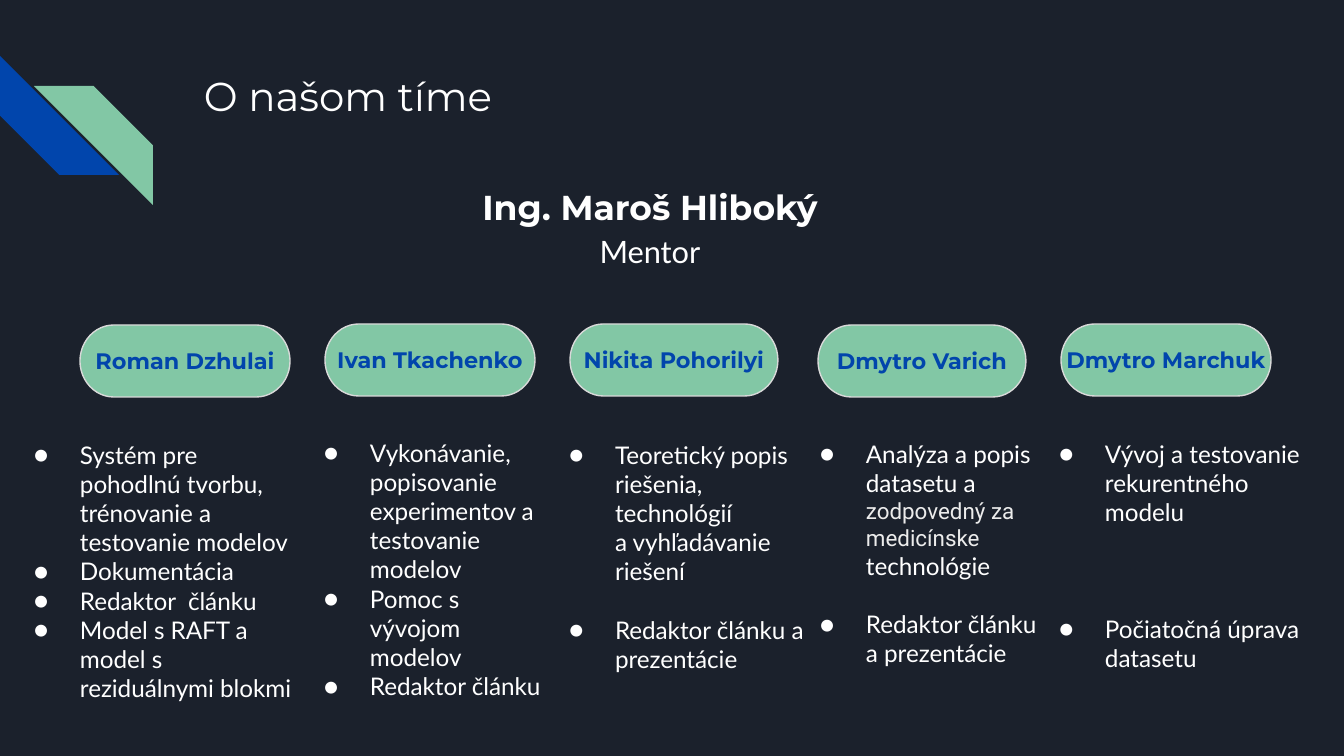
from dataclasses import dataclass
from typing import NamedTuple

from lxml.etree import SubElement
from pptx import Presentation
from pptx.dml.color import RGBColor
from pptx.enum.shapes import MSO_SHAPE
from pptx.enum.text import MSO_ANCHOR, PP_ALIGN
from pptx.oxml.ns import qn
from pptx.util import Emu, Pt

EMU_PER_PX = 914400 / 134.4
NAVY = RGBColor(0x1B, 0x21, 0x2C)
BLUE = RGBColor(0x01, 0x45, 0xAC)
GREEN = RGBColor(0x82, 0xC7, 0xA5)
GREY = RGBColor(0xD9, 0xD9, 0xD9)
PALE = RGBColor(0xEC, 0xEC, 0xEC)
WHITE = RGBColor(0xFF, 0xFF, 0xFF)
HEADING, BODY, ACCENT = "Montserrat", "Lato", "Roboto"
PAD, PILL_H, TASKS_H = 13, 72, 328
TEXT_INDENT, HANG = 67, 46


class Box(NamedTuple):
    x: int
    y: int
    w: int
    h: int


class Piece(NamedTuple):
    text: str
    font: str = BODY
    size: float = 13
    color: RGBColor = WHITE


@dataclass
class Task:
    pieces: list[Piece]
    bullet: bool = True
    gap: float = 0  # points above


@dataclass
class Member:
    name: str
    pill: Box
    tasks_at: Box
    tasks: list[Task]


def task(text: str, **options) -> Task:
    return Task([Piece(text)], **options)


MEMBERS = [
    Member("Roman Dzhulai", Box(80, 325, 210, PILL_H), Box(0, 427, 314, TASKS_H), [
        task("Systém pre pohodlnú tvorbu, trénovanie a testovanie modelov"),
        task("Dokumentácia"),
        task("Redaktor  článku"),
        task("Model s RAFT a model s reziduálnymi blokmi"),
    ]),
    Member("Ivan Tkachenko", Box(325, 324, 210, PILL_H), Box(290, 425, 276, TASKS_H), [
        task("Vykonávanie, popisovanie experimentov a testovanie modelov"),
        task("Pomoc s vývojom modelov"),
        task("Redaktor článku"),
    ]),
    Member("Nikita Pohorilyi", Box(570, 324, 208, PILL_H), Box(535, 427, 282, TASKS_H), [
        task("Teoretický popis riešenia, technológií"),
        task("a vyhľadávanie riešení", bullet=False),
        task("Redaktor článku a prezentácie", gap=15.6),
    ]),
    Member("Dmytro Varich", Box(818, 325, 208, PILL_H), Box(786, 426, 276, TASKS_H), [
        Task([Piece("Analýza a popis datasetu a "),
              Piece("zodpovedný za medicínske ", ACCENT, 12, PALE),
              Piece("technológie")]),
        task("Redaktor článku a prezentácie", gap=15.6),
    ]),
    Member("Dmytro Marchuk", Box(1061, 324, 210, PILL_H), Box(1025, 426, 290, TASKS_H), [
        task("Vývoj a testovanie rekurentného modelu"),
        task("Počiatočná úprava datasetu", gap=46.8),
    ]),
]


def px(n: int) -> Emu:
    return Emu(round(n * EMU_PER_PX))


def place(box: Box) -> list[Emu]:
    return [px(n) for n in box]


def write(p, text: str, *, size: float, font: str = HEADING,
          color: RGBColor = WHITE, bold: bool = False) -> None:
    r = p.add_run()
    r.text = text
    r.font.name = font
    r.font.size = Pt(size)
    r.font.bold = bold
    r.font.color.rgb = color


def add_text_frame(s, box: Box, anchor=MSO_ANCHOR.TOP):
    tf = s.shapes.add_textbox(*place(box)).text_frame
    tf.word_wrap = True
    tf.vertical_anchor = anchor
    tf.margin_left = tf.margin_right = tf.margin_top = tf.margin_bottom = px(PAD)
    return tf


def add_filled(s, kind, box: Box, fill: RGBColor):
    sp = s.shapes.add_shape(kind, *place(box))
    sp.shadow.inherit = False
    sp.fill.solid()
    sp.fill.fore_color.rgb = fill
    sp.line.fill.background()
    return sp


def add_pill(s, member: Member) -> None:
    sp = add_filled(s, MSO_SHAPE.FLOWCHART_TERMINATOR, member.pill, GREEN)
    sp.line.color.rgb = GREY
    sp.line.width = Pt(0.75)
    tf = sp.text_frame
    tf.word_wrap = False
    tf.vertical_anchor = MSO_ANCHOR.MIDDLE
    tf.margin_left = tf.margin_right = 0
    p = tf.paragraphs[0]
    p.alignment = PP_ALIGN.CENTER
    write(p, member.name, size=12, color=BLUE, bold=True)


def indent(p, bullet: bool) -> None:
    pPr = p._p.get_or_add_pPr()
    pPr.set("marL", str(px(TEXT_INDENT)))
    pPr.set("indent", str(-px(HANG) if bullet else 0))
    if bullet:
        color = SubElement(pPr, qn("a:buClr"))
        SubElement(color, qn("a:srgbClr"), val=str(WHITE))
        SubElement(pPr, qn("a:buFont"), typeface=BODY)
        SubElement(pPr, qn("a:buChar"), char="●")


def add_tasks(s, member: Member) -> None:
    tf = add_text_frame(s, member.tasks_at)
    for i, item in enumerate(member.tasks):
        p = tf.add_paragraph() if i else tf.paragraphs[0]
        indent(p, item.bullet)
        if item.gap:
            p.space_before = Pt(item.gap)
        for piece in item.pieces:
            write(p, piece.text, size=piece.size, font=piece.font, color=piece.color)


def main() -> None:
    prs = Presentation()
    prs.slide_width, prs.slide_height = px(1344), px(756)
    s = prs.slides.add_slide(prs.slide_layouts[6])
    s.background.fill.solid()
    s.background.fill.fore_color.rgb = NAVY

    # Corner stripes
    blue = add_filled(s, MSO_SHAPE.DIAGONAL_STRIPE, Box(0, 56, 119, 119), BLUE)
    blue.rotation = 270
    green = add_filled(s, MSO_SHAPE.DIAGONAL_STRIPE, Box(34, 86, 119, 119), GREEN)
    green._element.spPr.xfrm.set("flipH", "1")

    # Title
    tf = add_text_frame(s, Box(191, 58, 1035, 78))
    write(tf.paragraphs[0], "O našom tíme", size=21.6)

    # Mentor
    tf = add_text_frame(s, Box(422, 148, 456, 153), MSO_ANCHOR.MIDDLE)
    p = tf.paragraphs[0]
    p.alignment = PP_ALIGN.CENTER
    p.line_spacing = 1.15
    p.space_after = Pt(12)
    write(p, "Ing. Maroš Hliboký", size=18.5, bold=True)
    p.add_line_break()
    write(p, "Mentor", size=16.5, font=BODY)

    # Team members
    for member in MEMBERS:
        add_pill(s, member)
        add_tasks(s, member)

    prs.save("out.pptx")


if __name__ == "__main__":
    main()
